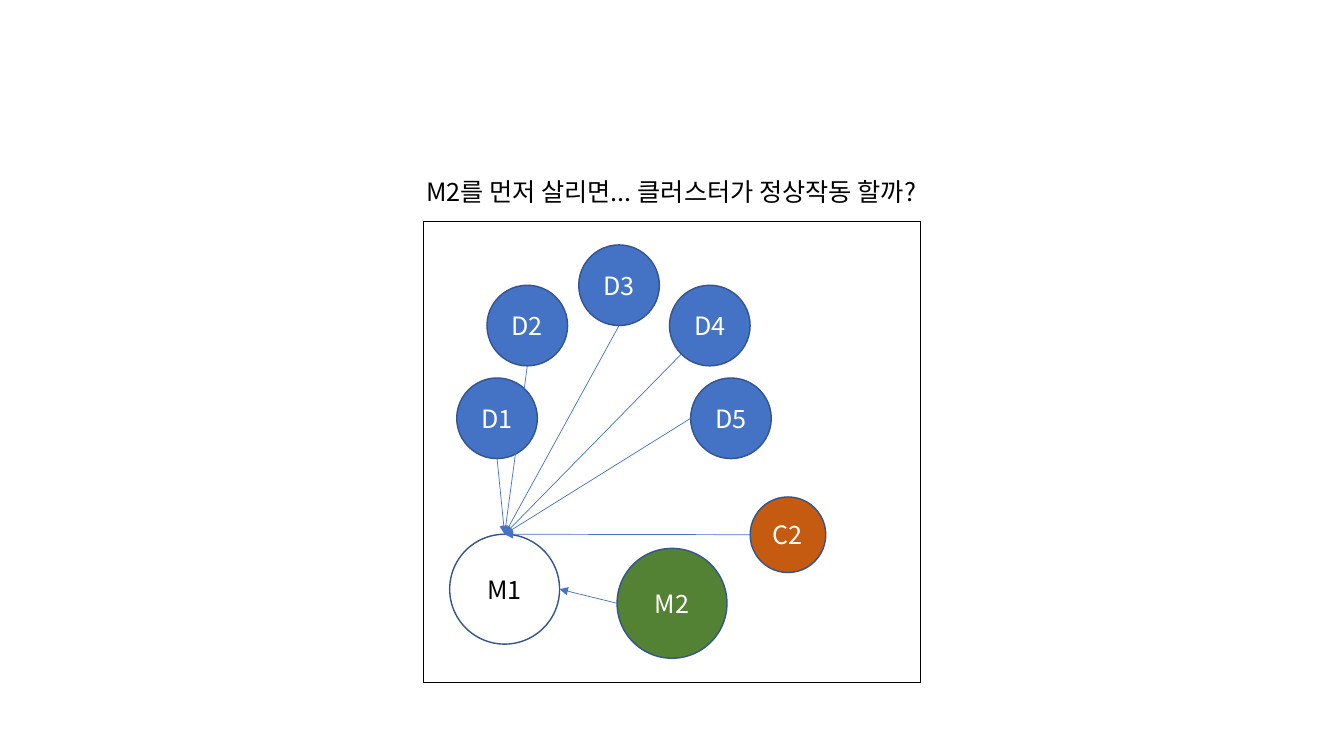
from math import cos, radians, sin

from lxml.etree import SubElement
from pptx import Presentation
from pptx.dml.color import RGBColor
from pptx.enum.shapes import MSO_CONNECTOR, MSO_SHAPE
from pptx.enum.text import MSO_ANCHOR, MSO_AUTO_SIZE, PP_ALIGN
from pptx.oxml.ns import qn
from pptx.util import Pt

PX = 9144
FONT = "Noto Sans CJK KR"
BLUE, NAVY, WHITE, BLACK = "4472C4", "325491", "FFFFFF", "000000"
TOP, LEFT, BOTTOM, RIGHT = -90, 180, 90, 0
LOWER_LEFT = 135

NODES = {
    "D2": (483, 283, 80, BLUE, WHITE),
    "D3": (574, 243, 80, BLUE, WHITE),
    "D4": (664, 283, 80, BLUE, WHITE),
    "D5": (685, 375, 80, BLUE, WHITE),
    "D1": (453, 375, 80, BLUE, WHITE),
    "M1": (446, 530, 109, None, BLACK),
    "M2": (612, 544, 109, "548235", WHITE),
    "C2": (744, 493, 75, "C55A11", WHITE),
}
LINKS = [
    ("D1", BOTTOM, TOP),
    ("D2", BOTTOM, TOP),
    ("D3", BOTTOM, TOP),
    ("D4", LOWER_LEFT, TOP),
    ("D5", LEFT, TOP),
    ("C2", LEFT, TOP),
    ("M2", LEFT, RIGHT),
]


def color(value):
    return RGBColor.from_string(value)


def write(frame, text, ink):
    para = frame.paragraphs[0]
    para.alignment = PP_ALIGN.CENTER
    span = para.add_run()
    span.text = text
    for name, value in {"size": Pt(18), "name": FONT}.items():
        setattr(span.font, name, value)
    span.font.color.rgb = color(ink)
    SubElement(span.font._element, qn("a:ea"), typeface=FONT)


def add_box(page, kind, left, top, width, height, fill, line):
    box = page.shapes.add_shape(
        kind, *(value * PX for value in (left, top, width, height)))
    box.shadow.inherit = False
    if fill:
        box.fill.solid()
        box.fill.fore_color.rgb = color(fill)
    else:
        box.fill.background()
    box.line.color.rgb = color(line)
    box.line.width = Pt(1)
    return box


def add_node(page, label):
    left, top, size, fill, ink = NODES[label]
    circle = add_box(page, MSO_SHAPE.OVAL, left, top, size, size, fill, NAVY)
    circle.text_frame.vertical_anchor = MSO_ANCHOR.MIDDLE
    write(circle.text_frame, label, ink)


def rim_point(label, angle):
    left, top, size = NODES[label][:3]
    radius = size / 2
    return (round((left + radius + radius * cos(radians(angle))) * PX),
            round((top + radius + radius * sin(radians(angle))) * PX))


def add_arrow(page, source, start_angle, end_angle):
    arrow = page.shapes.add_connector(
        MSO_CONNECTOR.STRAIGHT,
        *rim_point(source, start_angle), *rim_point("M1", end_angle))
    arrow.line.color.rgb = color(BLUE)
    arrow.line.width = Pt(0.5)
    SubElement(arrow.line._get_or_add_ln(), qn("a:tailEnd"), type="triangle")
    SubElement(arrow._element.spPr, qn("a:effectLst"))


def add_title(page, text):
    box = page.shapes.add_textbox(386 * PX, 170 * PX, 559 * PX, 40 * PX)
    settings = {"word_wrap": False, "auto_size": MSO_AUTO_SIZE.SHAPE_TO_FIT_TEXT}
    for name, value in settings.items():
        setattr(box.text_frame, name, value)
    write(box.text_frame, text, BLACK)


def main():
    deck = Presentation()
    deck.slide_width, deck.slide_height = 1333 * PX, 750 * PX
    page = deck.slides.add_slide(deck.slide_layouts[6])
    add_box(page, MSO_SHAPE.RECTANGLE, 420, 220, 493, 457, None, BLACK)
    for label in NODES:
        add_node(page, label)
    for link in LINKS:
        add_arrow(page, *link)
    add_title(page, "M2를 먼저 살리면... 클러스터가 정상작동 할까?")
    deck.save("out.pptx")


if __name__ == "__main__":
    main()
